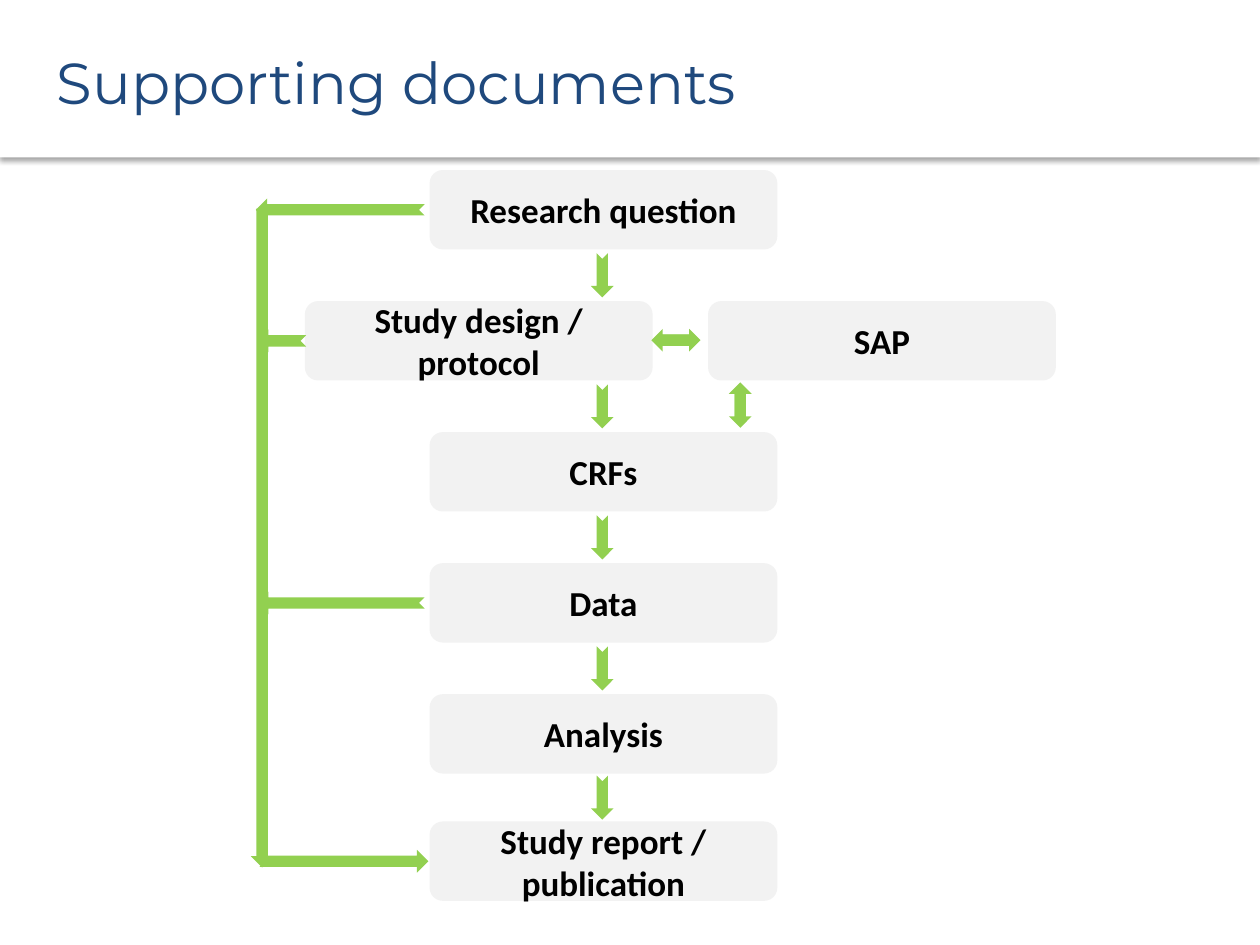
"""Build the supporting documents slide: a study workflow with feedback arrows."""
import lxml.etree
import pptx
import pptx.dml.color
import pptx.enum.shapes
import pptx.enum.text
import pptx.oxml.ns
import pptx.util

Inches = pptx.util.Inches
SHAPES = pptx.enum.shapes.MSO_SHAPE
ALIGN = pptx.enum.text.PP_ALIGN
RGB = pptx.dml.color.RGBColor.from_string

THEME = {
    "white": RGB("FFFFFF"), "box": RGB("F2F2F2"), "arrow": RGB("92D050"),
    "title": RGB("1F497D"), "text": RGB("000000"),
    "title_font": "Montserrat", "body_font": "Calibri",
    "title_size": 33, "body_size": 20,
}
BOX_W, BOX_H, ARROW_H = 2.76, 0.63, 0.18
ROW_PITCH = 1.04
ROWS = [1.35 + ROW_PITCH * row for row in range(5)] + [6.52]
MAIN_COL, DESIGN_COL, SAP_COL = 3.41, 2.42, 5.62
TRUNK_X = 2.08


def write(shape, text, *, font, size, color, bold=False, align=ALIGN.CENTER):
    frame = shape.text_frame
    frame.word_wrap = True
    frame.auto_size = pptx.enum.text.MSO_AUTO_SIZE.NONE
    frame.vertical_anchor = pptx.enum.text.MSO_ANCHOR.MIDDLE
    paragraph = frame.paragraphs[0]
    paragraph.alignment = align
    run = paragraph.add_run()
    run.text = text
    run.font.name, run.font.size, run.font.bold = font, pptx.util.Pt(size), bold
    run.font.color.rgb = color


def draw(shapes, kind, center_x, center_y, width, height, color, rotation=0):
    shape = shapes.add_shape(
        kind, Inches(center_x - width / 2), Inches(center_y - height / 2),
        Inches(width), Inches(height))
    shape.rotation = rotation
    shape.shadow.inherit = False
    shape.fill.solid()
    shape.fill.fore_color.rgb = color
    shape.line.fill.background()
    return shape


deck = pptx.Presentation()
deck.slide_width, deck.slide_height = Inches(10), Inches(7.5)
slide = deck.slides.add_slide(deck.slide_layouts[5])

title = slide.shapes.title
title.left, title.top = Inches(0.35), Inches(0.08)
title.width, title.height = Inches(9.15), Inches(1.13)
write(title, "Supporting documents", font=THEME["title_font"],
      size=THEME["title_size"], color=THEME["title"], align=ALIGN.LEFT)

header = draw(slide.shapes, SHAPES.RECTANGLE, 5, 0.625, 10, 1.25, THEME["white"])
effects = header._element.spPr.find(pptx.oxml.ns.qn("a:effectLst"))
shadow = lxml.etree.SubElement(
    effects, pptx.oxml.ns.qn("a:outerShdw"), blurRad=str(pptx.util.Pt(3.1)),
    dist=str(pptx.util.Pt(1.8)), dir="5400000", algn="t", rotWithShape="0")
shadow_color = lxml.etree.SubElement(shadow, pptx.oxml.ns.qn("a:srgbClr"), val="000000")
lxml.etree.SubElement(shadow_color, pptx.oxml.ns.qn("a:alpha"), val="35000")
title._element.addprevious(header._element)

steps = [
    ("Research question", MAIN_COL, 0),
    ("Study design / protocol", DESIGN_COL, 1),
    ("SAP", SAP_COL, 1),
    ("CRFs", MAIN_COL, 2),
    ("Data", MAIN_COL, 3),
    ("Analysis", MAIN_COL, 4),
    ("Study report / publication", MAIN_COL, 5),
]
for label, left, row in steps:
    box = draw(slide.shapes, SHAPES.ROUNDED_RECTANGLE, left + BOX_W / 2,
               ROWS[row] + BOX_H / 2, BOX_W, BOX_H, THEME["box"])
    write(box, label, font=THEME["body_font"], size=THEME["body_size"],
          color=THEME["text"], bold=True)

flow_x = MAIN_COL + BOX_W / 2 - 0.01
for upper, lower in zip(ROWS, ROWS[1:]):
    draw(slide.shapes, SHAPES.NOTCHED_RIGHT_ARROW, flow_x,
         (upper + BOX_H + lower) / 2, 0.35, ARROW_H, THEME["arrow"], 90)

branches = [(0, 2.03, 3.37, 180), (1, 2.04, 2.43, 180),
            (3, 2.04, 3.37, 180), (5, 2.06, 3.4, 0)]
for row, start, end, rotation in branches:
    draw(slide.shapes, SHAPES.NOTCHED_RIGHT_ARROW, (start + end) / 2,
         ROWS[row] + BOX_H / 2, end - start, ARROW_H, THEME["arrow"], rotation)
draw(slide.shapes, SHAPES.NOTCHED_RIGHT_ARROW, TRUNK_X, 4.27, 5.23, ARROW_H,
     THEME["arrow"], 90)

two_way_links = [(5.365, 2.7, 0.34, 0.025, 0, 0), (5.875, 3.215, 0.31, 0, 0.025, 90)]
for center_x, center_y, length, shift_x, shift_y, rotation in two_way_links:
    link = slide.shapes.add_group_shape()
    for side, turn in ((1, 0), (-1, 180)):
        draw(link.shapes, SHAPES.NOTCHED_RIGHT_ARROW, center_x + side * shift_x,
             center_y + side * shift_y, length, ARROW_H, THEME["arrow"], rotation + turn)

deck.save("out.pptx")
